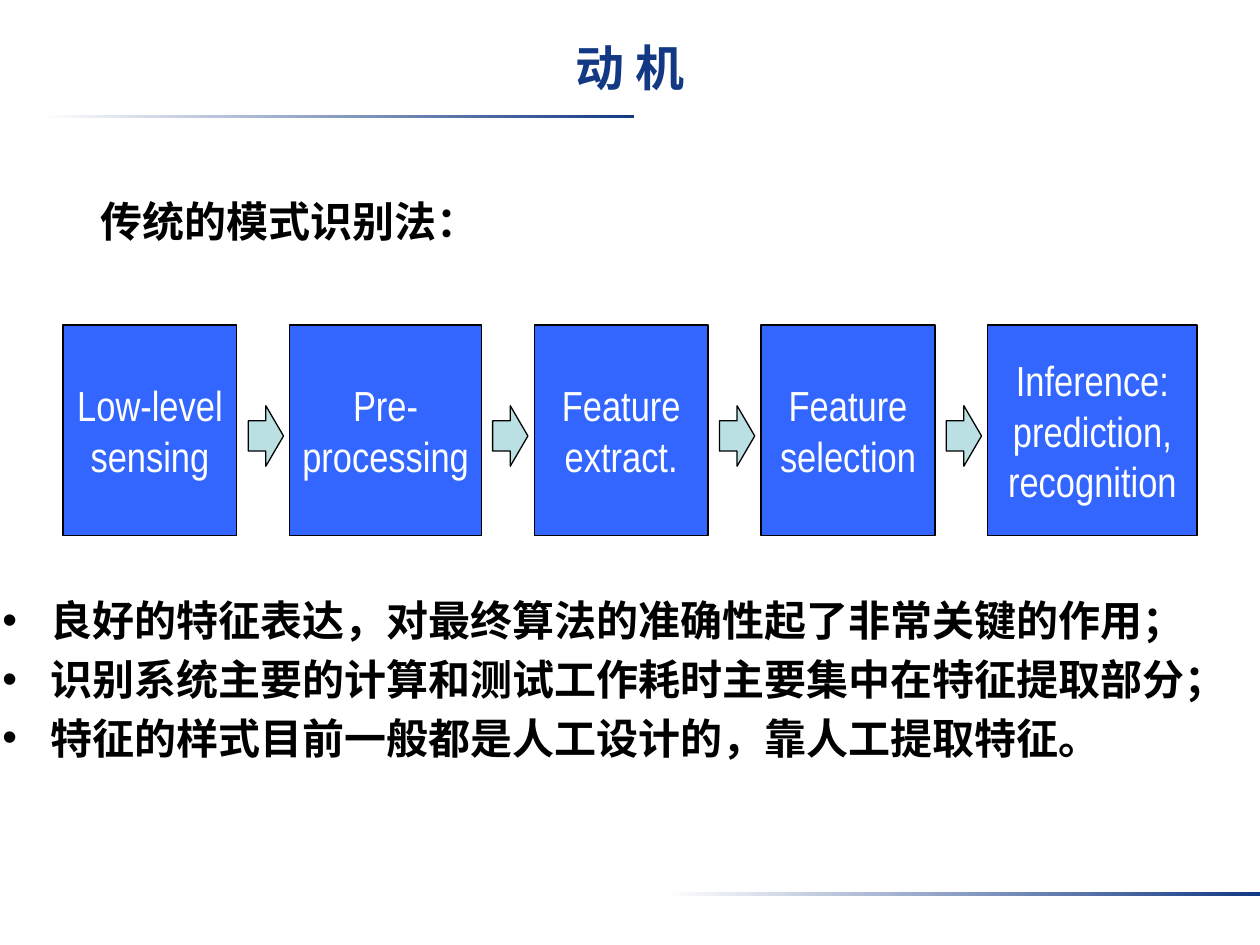
from pptx import Presentation
from pptx.dml.color import RGBColor
from pptx.enum.shapes import MSO_SHAPE
from pptx.enum.text import MSO_ANCHOR, PP_ALIGN
from pptx.oxml.ns import qn
from pptx.util import Inches, Pt
from lxml.etree import SubElement

COLORS = {
    "navy": "133984",
    "blue": "3366FF",
    "teal": "BBE0E3",
    "black": "000000",
    "white": "FFFFFF",
}


def rgb(name):
    return RGBColor.from_string(COLORS[name])


def write(tf, text, font="Arial", size=24, color="black", bold=False,
          align=PP_ALIGN.LEFT, bullet=None, indent=0.38, gap=0):
    """Fill a text frame, one paragraph per line of text."""
    tf.word_wrap = True
    for i, line in enumerate(text.split("\n")):
        p = tf.paragraphs[0] if i == 0 else tf.add_paragraph()
        if bullet:
            pPr = p._p.get_or_add_pPr()
            pPr.set("marL", str(Inches(indent)))
            pPr.set("indent", str(-Inches(indent)))
            SubElement(pPr, qn("a:buFont")).set("typeface", "Arial")
            SubElement(pPr, qn("a:buChar")).set("char", bullet)
        p.alignment = align
        if i:
            p.space_before = Pt(gap)
        r = p.add_run()
        r.text = line
        r.font.name = font
        r.font.size = Pt(size)
        r.font.bold = bold
        r.font.color.rgb = rgb(color)


class SlideBuilder:
    def __init__(self, prs):
        self.slide = prs.slides.add_slide(prs.slide_layouts[6])

    def shape(self, kind, x, y, w, h, fill):
        sp = self.slide.shapes.add_shape(
            kind, Inches(x), Inches(y), Inches(w), Inches(h))
        sp.shadow.inherit = False
        sp.fill.solid()
        sp.fill.fore_color.rgb = rgb(fill)
        sp.line.color.rgb = rgb("black")
        sp.line.width = Pt(0.75)
        return sp

    def rule(self, x, y):
        sp = self.shape(MSO_SHAPE.RECTANGLE, x, y, 4.72, 0.03, "navy")
        sp.line.fill.background()
        sp.fill.gradient()
        sp.fill.gradient_angle = 0
        for stop, color, pos in zip(sp.fill.gradient_stops, ("white", "navy"), (0, 1)):
            stop.color.rgb = rgb(color)
            stop.position = pos

    def step(self, x, y, w, h, text):
        sp = self.shape(MSO_SHAPE.RECTANGLE, x, y, w, h, "blue")
        tf = sp.text_frame
        tf.margin_left = tf.margin_right = Inches(0.08)
        tf.vertical_anchor = MSO_ANCHOR.MIDDLE
        write(tf, text, font="Arial Narrow", color="white", align=PP_ALIGN.CENTER)

    def arrow(self, x, y):
        self.shape(MSO_SHAPE.RIGHT_ARROW, x, y, 0.28, 0.48, "teal")

    def text(self, x, y, w, h, text, **style):
        tb = self.slide.shapes.add_textbox(
            Inches(x), Inches(y), Inches(w), Inches(h))
        write(tb.text_frame, text, **style)


def main():
    prs = Presentation()
    prs.slide_width, prs.slide_height = Inches(10), Inches(7.5)
    s = SlideBuilder(prs)

    # Decorative rules
    s.rule(0.31, 0.91)
    s.rule(5.28, 7.08)

    # Title and heading
    s.text(0.5, 0.25, 9, 1.25, "动 机", size=28, color="navy", bold=True,
           align=PP_ALIGN.CENTER)
    s.text(0.42, 1.5, 3.75, 0.5, "传统的模式识别法：", font="Times New Roman",
           bold=True, align=PP_ALIGN.CENTER)

    # Recognition pipeline: boxes with an arrow in each gap
    steps = [
        ("Low-level sensing", 1.38),
        ("Pre-processing", 1.52),
        ("Feature extract.", 1.38),
        ("Feature selection", 1.38),
        ("Inference: prediction, recognition", 1.66),
    ]
    x, gap = 0.5, 0.42
    for i, (label, width) in enumerate(steps):
        if i:
            s.arrow(x - gap + 0.09, 3.22)
        s.step(x, 2.58, width, 1.67, label)
        x += width + gap

    # Conclusions
    s.text(-0.08, 4.67, 10.33, 1.83,
           "良好的特征表达，对最终算法的准确性起了非常关键的作用；\n"
           "识别系统主要的计算和测试工作耗时主要集中在特征提取部分；\n"
           "特征的样式目前一般都是人工设计的，靠人工提取特征。",
           bold=True, bullet="•", gap=4.8)

    prs.save("out.pptx")


if __name__ == "__main__":
    main()
